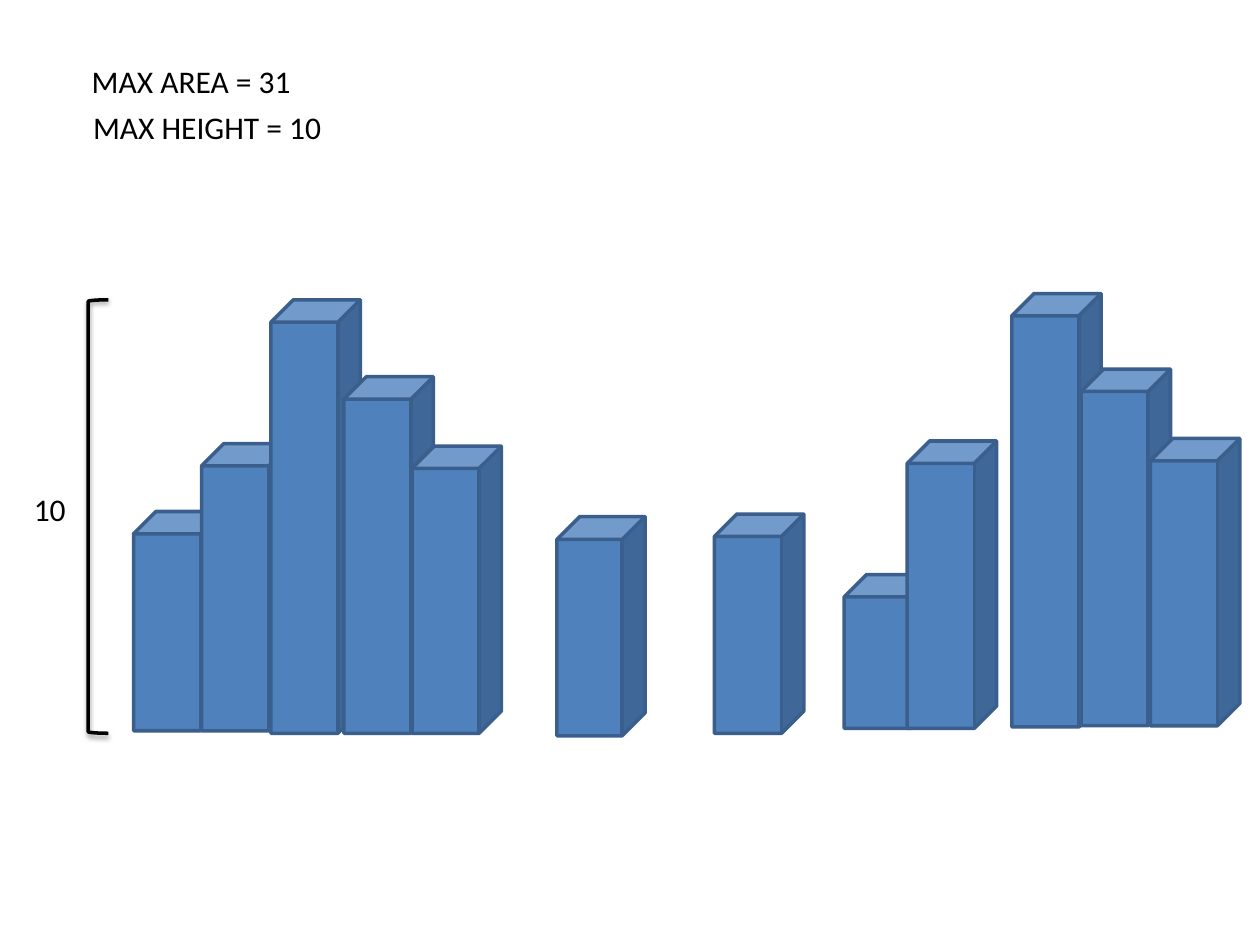
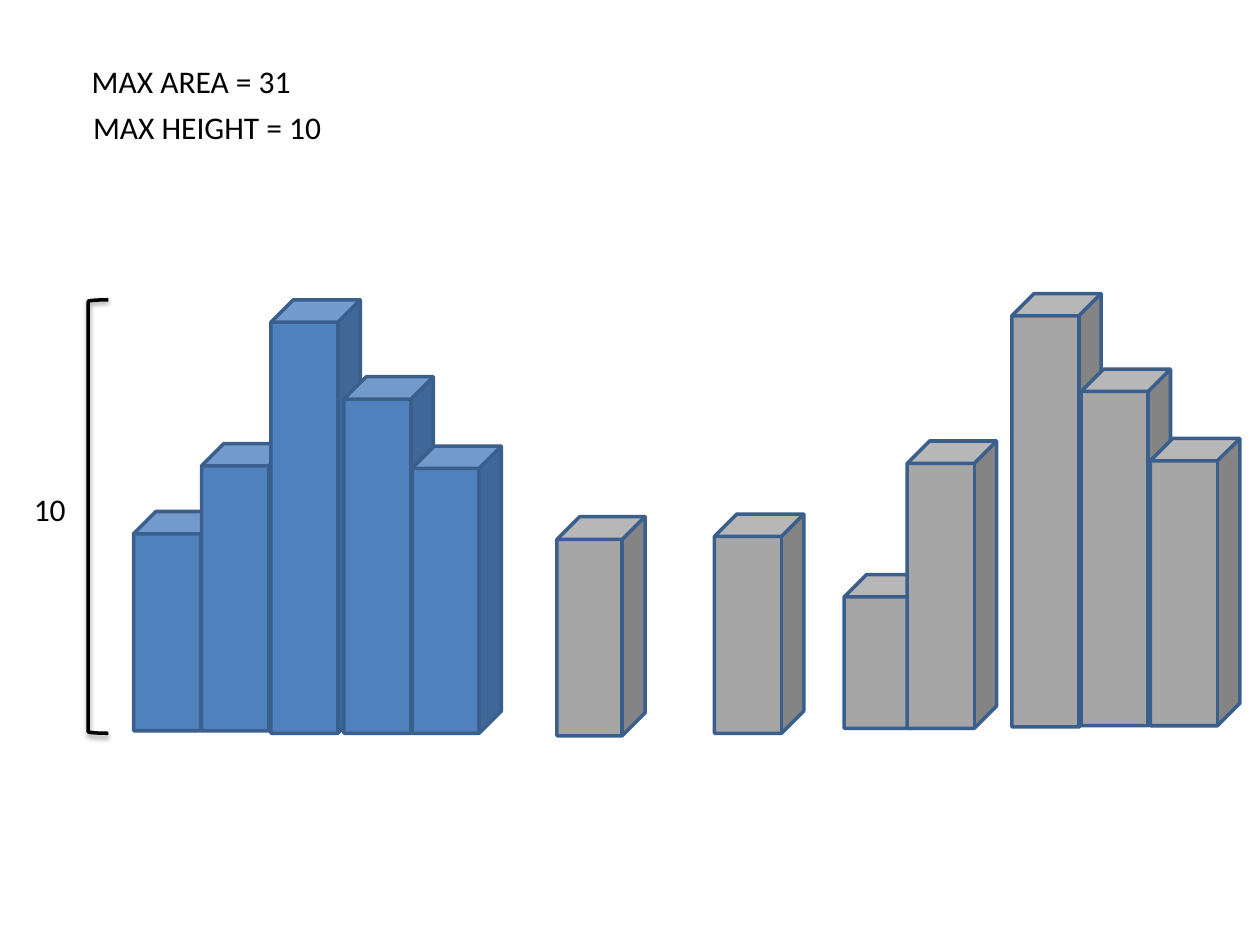
from pptx import Presentation
from pptx.dml.color import RGBColor
from pptx.enum.shapes import MSO_SHAPE as Shape
from pptx.enum.text import MSO_AUTO_SIZE as AutoSize
from pptx.oxml import parse_xml
from pptx.oxml.ns import nsdecls
from pptx.util import Inches, Pt

COLORS = {"active": "4F81BD", "muted": "A6A6A6", "edge": "3A5F8C", "ink": "000000"}
BAR_WIDTH = 0.71
BAR_DEPTH = 0.25
RIGHT_BARS = [
    (5.67, 4.08, 1.74),
    (6.7, 4.56, 1.22),
    (7.2, 3.5, 2.28),
    (8.03, 2.33, 3.44),
    (8.58, 2.93, 2.83),
    (9.13, 3.48, 2.28),
]
LEFT_BARS = [
    (1.06, 4.06, 1.74),
    (1.62, 4.56, 1.22),
    (1.6, 3.52, 2.28),
    (2.15, 2.38, 3.44),
    (2.73, 2.99, 2.83),
    (3.27, 3.54, 2.28),
]
LONE_BAR = (4.42, 4.1, 1.74)
LABELS = [
    ("MAX AREA = 31", 0.63, 0.44, 1.8),
    ("MAX HEIGHT = 10", 0.64, 0.81, 2.03),
    ("10", 0.17, 3.84, 0.46),
]


def color(name):
    return RGBColor.from_string(COLORS[name])


class Histogram:
    text_format = {"name": "Calibri", "size": Pt(18)}
    frame_format = {"word_wrap": False, "auto_size": AutoSize.SHAPE_TO_FIT_TEXT}
    line_width = Pt(2)

    def __init__(self, deck):
        self.deck = deck
        self.page = None

    def new_page(self):
        self.page = self.deck.slides.add_slide(self.deck.slide_layouts[6])

    def outline(self, kind, left, top, width, height, line):
        shape = self.page.shapes.add_shape(
            kind, Inches(left), Inches(top), Inches(width), Inches(height))
        shape.shadow.inherit = False
        shape.line.color.rgb = color(line)
        shape.line.width = self.line_width
        return shape

    def bar(self, left, top, height, fill, width=BAR_WIDTH, depth=BAR_DEPTH):
        cube = self.outline(Shape.CUBE, left, top, width, height, "edge")
        cube.adjustments[0] = depth
        cube.fill.solid()
        cube.fill.fore_color.rgb = color(fill)

    def bracket(self, left, top, width, height):
        bracket = self.outline(Shape.LEFT_BRACKET, left, top, width, height, "ink")
        bracket.fill.background()
        effects = bracket._element.spPr.find("{*}effectLst")
        effects.append(parse_xml(
            f'<a:outerShdw {nsdecls("a")} blurRad="{Pt(3.1)}" dist="{Pt(1.6)}" '
            f'dir="5400000" rotWithShape="0"><a:srgbClr val="{COLORS["ink"]}">'
            '<a:alpha val="38000"/></a:srgbClr></a:outerShdw>'))

    def label(self, text, left, top, width, height=0.4):
        box = self.page.shapes.add_textbox(
            Inches(left), Inches(top), Inches(width), Inches(height))
        for name, value in self.frame_format.items():
            setattr(box.text_frame, name, value)
        span = box.text_frame.paragraphs[0].add_run()
        span.text = text
        for name, value in self.text_format.items():
            setattr(span.font, name, value)
        span.font.color.rgb = color("ink")


deck = Presentation()
deck.slide_width, deck.slide_height = Inches(10), Inches(7.5)
histogram = Histogram(deck)

for rest_fill in ("active", "muted"):
    histogram.new_page()
    for bars, fill in ((RIGHT_BARS, rest_fill), (LEFT_BARS, "active")):
        for bar in bars:
            histogram.bar(*bar, fill)
    histogram.bar(*LONE_BAR, rest_fill, width=0.7, depth=0.26)
    histogram.bracket(0.7, 2.38, 0.16, 3.44)
    for label in LABELS:
        histogram.label(*label)

deck.save("out.pptx")
